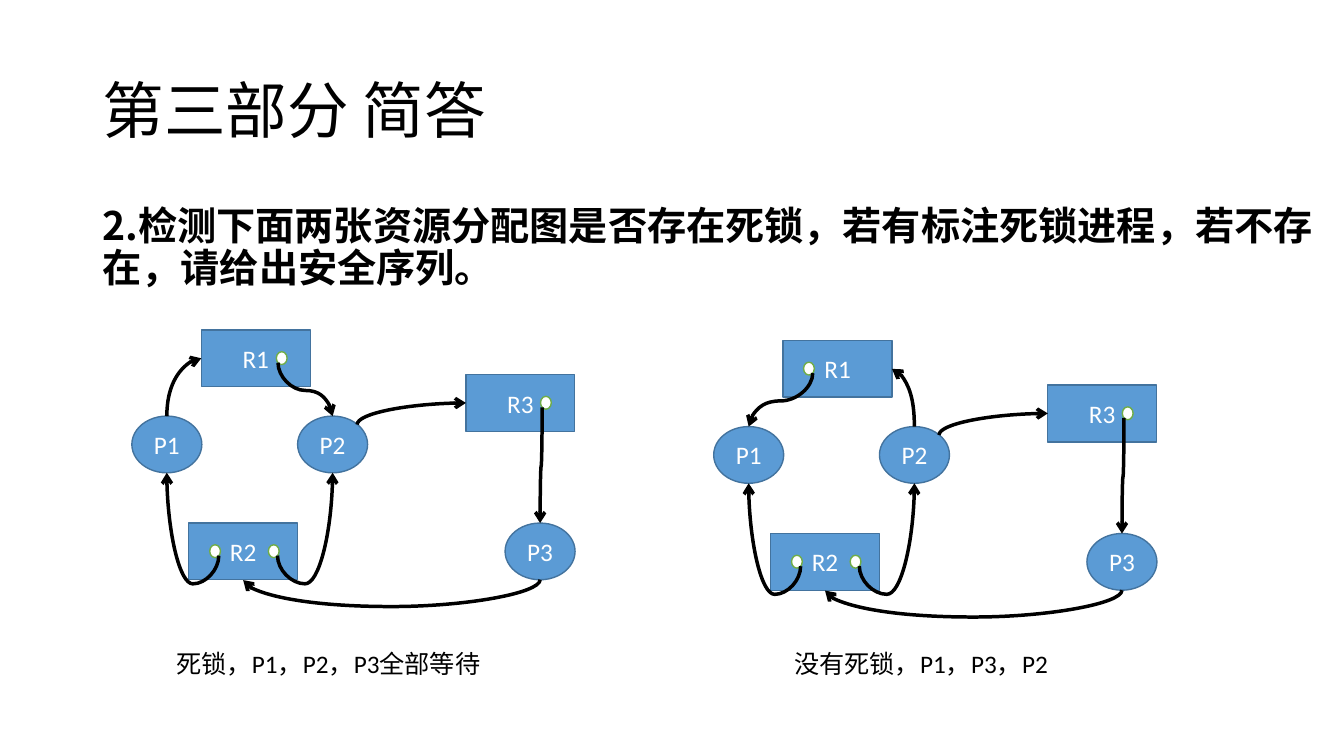
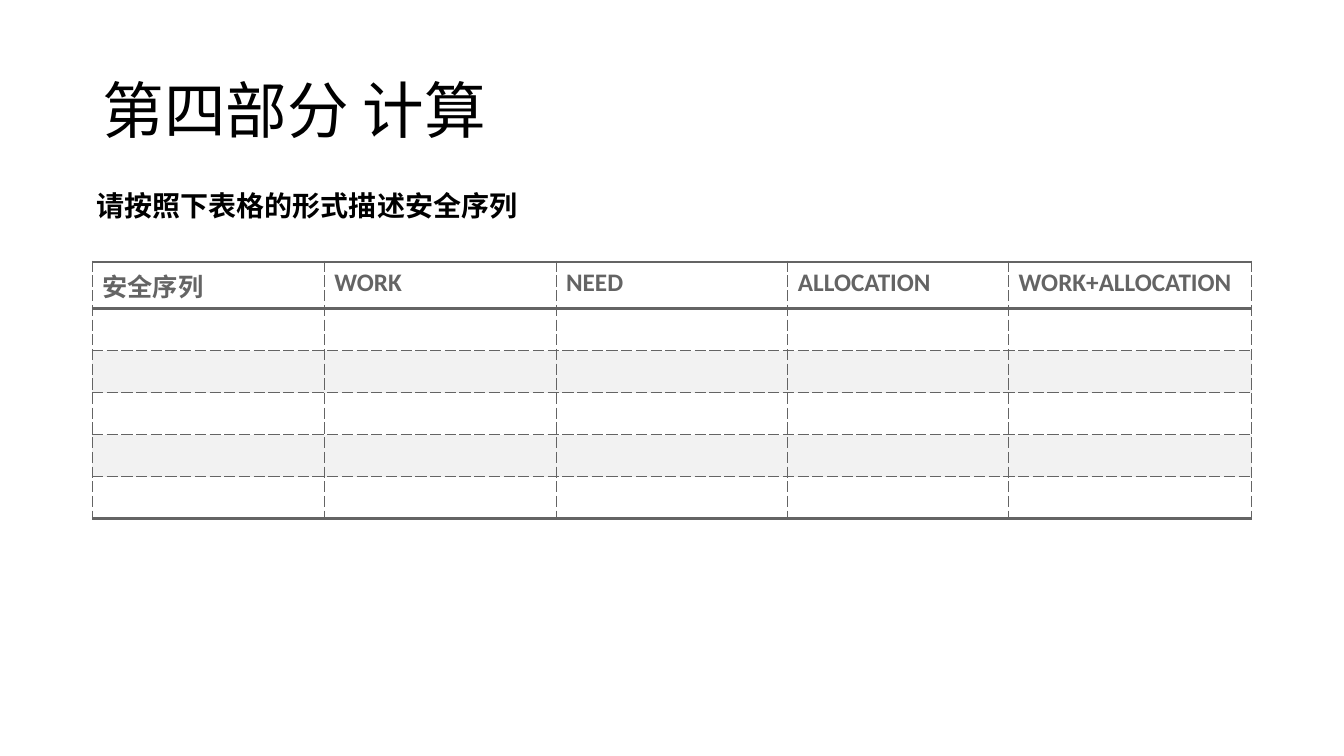
from typing import NamedTuple, Optional

from lxml import etree
from pptx import Presentation
from pptx.dml.color import RGBColor
from pptx.enum.shapes import MSO_CONNECTOR, MSO_SHAPE as SHAPE
from pptx.enum.text import MSO_ANCHOR as ANCHOR, MSO_AUTO_SIZE as AUTO, PP_ALIGN as ALIGN
from pptx.oxml.ns import qn
from pptx.util import Pt

BLACK = RGBColor(0x00, 0x00, 0x00)
WHITE = RGBColor(0xFF, 0xFF, 0xFF)
BLUE = RGBColor(0x5B, 0x9B, 0xD5)
NAVY = RGBColor(0x43, 0x73, 0x9E)
GREEN = RGBColor(0x70, 0xAD, 0x47)
GRAY = RGBColor(0x64, 0x64, 0x64)
BAND = RGBColor(0xF2, 0xF2, 0xF2)
LATIN, CJK = "Calibri", "Noto Sans CJK SC"


class Box(NamedTuple):
    """A rectangle in points."""
    left: float
    top: float
    width: float
    height: float

    def lengths(self) -> list:
        """Return the four values as lengths."""
        return [Pt(v) for v in self]

    def site(self, at: tuple) -> tuple:
        """Return the point at a fraction of the width and height."""
        return self.left + at[0] * self.width, self.top + at[1] * self.height


class Node(NamedTuple):
    """A process (P) or resource (R), with the x offsets of its free units."""
    name: str
    left: float
    top: float
    dots: tuple = ()


class Edge(NamedTuple):
    """An arrow between two sites; with no bend it is a quarter curve."""
    tail: str
    tail_site: tuple
    head: str
    head_site: tuple
    bend: Optional[float] = None


class Graph(NamedTuple):
    """A resource graph, its offset, its caption and what is special to it."""
    dx: float
    dy: float
    caption: str
    caption_left: float
    r1_dot: float
    edges: tuple


TOP, BOTTOM, LEFT, RIGHT = (0.5, 0), (0.5, 1), (0, 0.5), (1, 0.5)
NE, SE, SW = (0.85, 0.15), (0.85, 0.85), (0.15, 0.85)

PROCESS_W, RESOURCE_W, NODE_H = 50, 77.8, 40.5
DOT_W, DOT_H, DOT_TOP = 7.7, 9.2, 15.5
MIN_RISE = 0.25

NODES = (
    Node("P1", 94.2, 297.2),
    Node("P2", 212.6, 297.2),
    Node("P3", 360.8, 373.6),
    Node("R2", 134.8, 373.6, (15, 56.9)),
    Node("R3", 332.8, 267.6, (53.3,)),
)
SHARED_EDGES = (
    Edge("R2.0", SE, "P1", BOTTOM, -0.34),
    Edge("R2.1", SE, "P2", BOTTOM, -0.34),
    Edge("P2", NE, "R3", LEFT),
    Edge("R3.0", SW, "P3", TOP, 0.51),
    Edge("P3", BOTTOM, "R2", BOTTOM, 75),
)
GRAPHS = (
    Graph(0, 0, "死锁，P1，P2，P3全部等待", 118.8, 53.6,
          (Edge("P1", TOP, "R1", LEFT), Edge("R1.0", SW, "P2", TOP, 0.52))),
    Graph(415.6, 7.5, "没有死锁，P1，P3，P2", 560.2, 14.6,
          (Edge("R1.0", SE, "P1", TOP, 0.52), Edge("P2", TOP, "R1", RIGHT))),
)

HEADERS = ("安全序列", "WORK", "NEED", "ALLOCATION", "WORK+ALLOCATION")
COLUMN_WIDTHS = (165.6, 165.6, 165.6, 157.7, 173.5)
ROWS, ROW_H = 6, 30
THICK, THIN = 2.25, 0.75


def format_text(tf, size: float, color: RGBColor, bold: bool = False,
                latin: str = LATIN) -> None:
    """Give every run of a text frame its font."""
    for p in tf.paragraphs:
        for r in p.runs:
            r.font.size, r.font.bold, r.font.name = Pt(size), bold, latin
            r.font.color.rgb = color
            ea = etree.SubElement(r.font._element, qn("a:ea"))
            ea.set("typeface", CJK)


def fill_placeholder(sp, text: str, box: Box, size: float, anchor: ANCHOR,
                     bold: bool = False, latin: str = LATIN) -> None:
    """Move a placeholder and set its left-aligned text without a bullet."""
    sp.left, sp.top, sp.width, sp.height = box.lengths()
    tf = sp.text_frame
    tf.text = text
    tf.word_wrap, tf.auto_size, tf.vertical_anchor = True, AUTO.NONE, anchor
    p = tf.paragraphs[0]
    p.alignment, p.line_spacing = ALIGN.LEFT, 0.9
    pPr = p._p.get_or_add_pPr()
    pPr.set("marL", "0")
    pPr.set("indent", "0")
    etree.SubElement(pPr, qn("a:buNone"))
    format_text(tf, size, BLACK, bold, latin)


def add_slide(prs, layout: int, title: str):
    """Add a slide with the shared title style."""
    s = prs.slides.add_slide(prs.slide_layouts[layout])
    fill_placeholder(s.shapes.title, title, Box(66, 28.8, 828, 104.4), 44, ANCHOR.MIDDLE)
    return s


def add_text(s, text: str, box: Box, size: float, bold: bool = False) -> None:
    """Add a text box that grows with its text."""
    tf = s.shapes.add_textbox(*box.lengths()).text_frame
    tf.text = text
    tf.word_wrap, tf.auto_size = True, AUTO.SHAPE_TO_FIT_TEXT
    format_text(tf, size, BLACK, bold)


def add_figure(shapes, kind: SHAPE, box: Box, fill: RGBColor, line: RGBColor,
               text: str = "") -> None:
    """Add a filled, outlined shape with an optional centred label."""
    sp = shapes.add_shape(kind, *box.lengths())
    sp.shadow.inherit = False
    sp.fill.solid()
    sp.fill.fore_color.rgb = fill
    sp.line.color.rgb, sp.line.width = line, Pt(1)
    if text:
        tf = sp.text_frame
        tf.text, tf.vertical_anchor = text, ANCHOR.MIDDLE
        tf.paragraphs[0].alignment = ALIGN.CENTER
        format_text(tf, 18, WHITE)


def add_curve(shapes, start: tuple, end: tuple, bend: Optional[float]) -> None:
    """Add a curved arrow that leaves its start vertically."""
    run, rise = end[0] - start[0], (end[1] - start[1]) or MIN_RISE
    # Turned by 90 degrees, the connector's width spans the rise.
    width, height = abs(rise), abs(run)
    left = start[0] + run / 2 - width / 2
    top = start[1] + rise / 2 - height / 2
    c = shapes.add_connector(MSO_CONNECTOR.CURVE, Pt(left), Pt(top),
                             Pt(left + width), Pt(top + height))
    c.line.color.rgb, c.line.width = BLACK, Pt(2.5)
    spPr = c._element.spPr
    xfrm = spPr.find(qn("a:xfrm"))
    xfrm.set("rot", str(90 * 60000))
    if rise < 0:
        xfrm.set("flipH", "1")
    if run > 0:
        xfrm.set("flipV", "1")
    geom = spPr.find(qn("a:prstGeom"))
    if bend is None:
        geom.set("prst", "curvedConnector2")
    else:
        gd = etree.SubElement(geom.find(qn("a:avLst")), qn("a:gd"))
        gd.set("name", "adj1")
        gd.set("fmla", f"val {round(bend * 100000)}")
    etree.SubElement(spPr.find(qn("a:ln")), qn("a:tailEnd")).set("type", "arrow")
    etree.SubElement(spPr, qn("a:effectLst"))


def add_graph(s, graph: Graph) -> None:
    """Draw a resource graph as one group, with its caption below."""
    shapes = s.shapes.add_group_shape().shapes
    boxes = {}
    for node in (*NODES, Node("R1", 143.8, 235.7, (graph.r1_dot,))):
        is_process = node.name.startswith("P")
        box = Box(node.left + graph.dx, node.top + graph.dy,
                  PROCESS_W if is_process else RESOURCE_W, NODE_H)
        boxes[node.name] = box
        kind = SHAPE.OVAL if is_process else SHAPE.RECTANGLE
        add_figure(shapes, kind, box, BLUE, NAVY, node.name)
        for i, x in enumerate(node.dots):
            dot = Box(box.left + x, box.top + DOT_TOP, DOT_W, DOT_H)
            boxes[f"{node.name}.{i}"] = dot
            add_figure(shapes, SHAPE.OVAL, dot, WHITE, GREEN)
    for e in SHARED_EDGES + graph.edges:
        add_curve(shapes, boxes[e.tail].site(e.tail_site),
                  boxes[e.head].site(e.head_site), e.bend)
    add_text(s, graph.caption, Box(graph.caption_left, 459.4, 270.7, 29), 18)


def add_border(cell, side: str, width: float) -> None:
    """Add one cell border; thin borders are dashed."""
    ln = etree.SubElement(cell._tc.get_or_add_tcPr(), qn(f"a:ln{side}"))
    ln.set("w", str(Pt(width)))
    fill = etree.SubElement(ln, qn("a:solidFill"))
    etree.SubElement(fill, qn("a:srgbClr")).set("val", str(GRAY))
    dash = "sysDash" if width == THIN else "solid"
    etree.SubElement(ln, qn("a:prstDash")).set("val", dash)


def add_sequence_table(s) -> None:
    """Add the empty safe-sequence table under its header row."""
    box = Box(66, 187.2, sum(COLUMN_WIDTHS), ROWS * ROW_H)
    table = s.shapes.add_table(ROWS, len(HEADERS), *box.lengths()).table
    table.first_row = table.horz_banding = False
    for column, width in zip(table.columns, COLUMN_WIDTHS):
        column.width = Pt(width)
    for i, row in enumerate(table.rows):
        row.height = Pt(ROW_H)
        above = THICK if i <= 1 else THIN
        below = THICK if i in (0, ROWS - 1) else THIN
        for cell, header in zip(row.cells, HEADERS):
            for side, width in zip("LRTB", (THIN, THIN, above, below)):
                add_border(cell, side, width)
            cell.fill.solid()
            cell.fill.fore_color.rgb = BAND if i and i % 2 == 0 else WHITE
            if i == 0:
                cell.text = header
                format_text(cell.text_frame, 18, GRAY, True)


def main() -> None:
    """Build both slides and save them."""
    prs = Presentation()
    prs.slide_width, prs.slide_height = Pt(960), Pt(540)

    s = add_slide(prs, 1, "第三部分 简答")
    body = s.placeholders[1]
    fill_placeholder(body, "2.检测下面两张资源分配图是否存在死锁，若有标注死锁进程，"
                     "若不存在，请给出安全序列。",
                     Box(66, 144, 883.4, 92.2), 28, ANCHOR.TOP, True, CJK)
    body.text_frame.paragraphs[0].space_before = Pt(10)
    for graph in GRAPHS:
        add_graph(s, graph)

    s = add_slide(prs, 5, "第四部分 计算")
    add_sequence_table(s)
    add_text(s, "请按照下表格的形式描述安全序列", Box(61.9, 131, 337.7, 31.5), 20, True)

    prs.save("out.pptx")


main()
